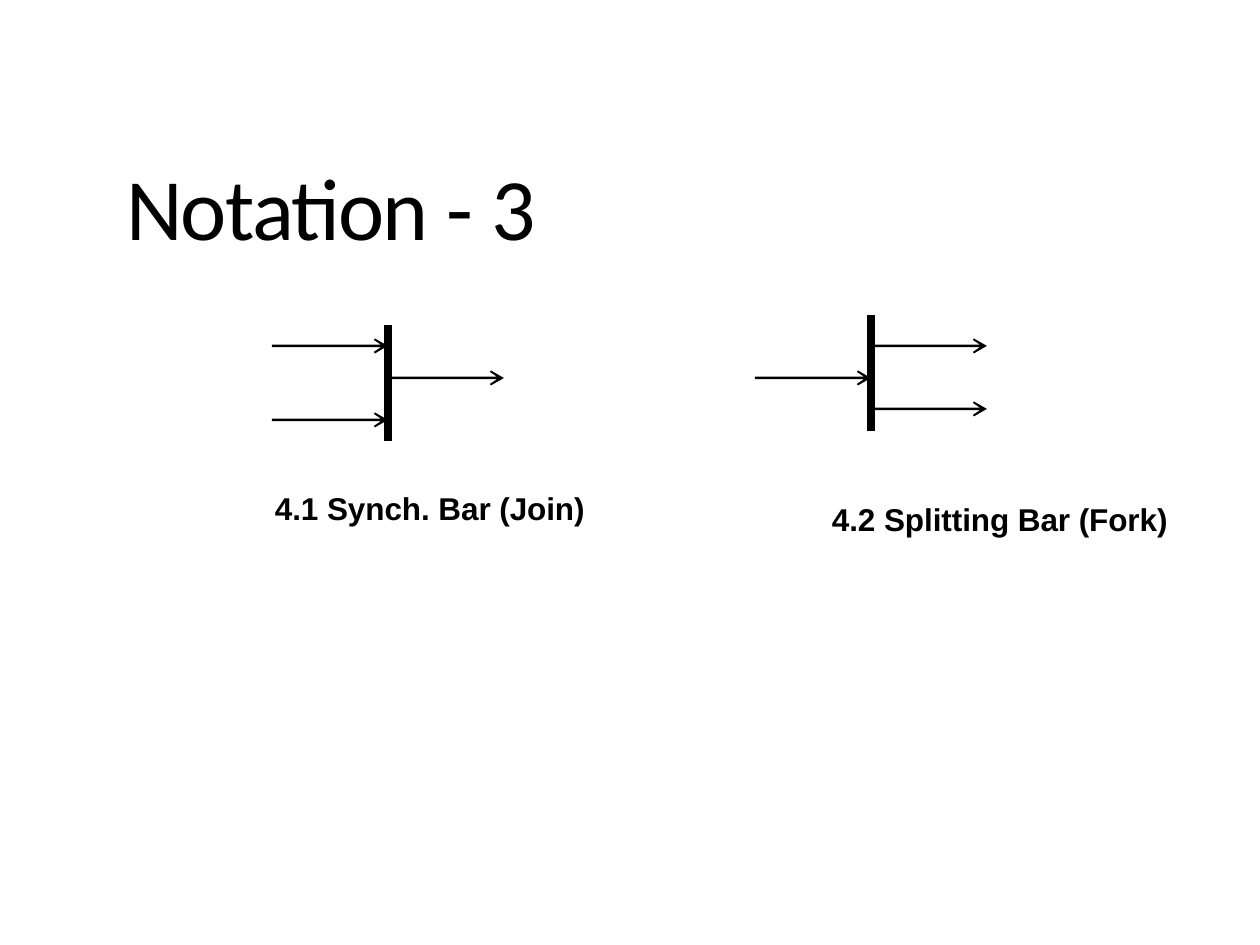
from pptx import Presentation
from pptx import util as u
from pptx.dml.color import RGBColor
from pptx.enum import shapes, text
from pptx.oxml.ns import qn
from lxml import etree

PX = 914400 / 126
BLACK = "000000"
REACH = 116

TITLE = ([("Notation ", -90), ("- ", -140), ("3", -250)], (125, 150, 427, 108))
BARS = [
    {"x": 388, "top": 325, "into": [346, 420], "out": [378],
     "caption": [("4.1 Synch. Bar (Join)", -5)], "box": (274, 486, 315, 42)},
    {"x": 871, "top": 315, "into": [378], "out": [346, 409],
     "caption": [("4.2 Splitting Bar (Fork)", -5)], "box": (831, 497, 342, 42)},
]
HALF_ARROW = [(-REACH, -1.25), (-7, -1.25), (-14, -6), (-13, -7.5)]
ARROW = HALF_ARROW + [(0, 0)] + [(dx, -dy) for dx, dy in reversed(HALF_ARROW)]


def px(n):
    return u.Emu(round(n * PX))


def color(value):
    return RGBColor.from_string(value)


def set_text(sp, parts, box, font, size, bold, anchor):
    sp.left, sp.top, sp.width, sp.height = map(px, box)
    tf = sp.text_frame
    tf.word_wrap = True
    tf.auto_size = text.MSO_AUTO_SIZE.NONE
    tf.vertical_anchor = anchor
    tf.margin_left, tf.margin_top = px(1), px(3)
    tf.margin_right = tf.margin_bottom = 0
    p = tf.paragraphs[0]
    p.alignment = text.PP_ALIGN.LEFT
    for words, spacing in parts:
        r = p.add_run()
        r.text = words
        r.font.name, r.font.size, r.font.bold = font, u.Pt(size), bold
        r.font.color.rgb = color(BLACK)
        r.font._element.set("spc", str(spacing))


def add_bar(s, x, top):
    sp = s.shapes.add_connector(shapes.MSO_CONNECTOR.STRAIGHT,
                                *map(px, (x, top, x, top + REACH)))
    sp.line.color.rgb = color(BLACK)
    sp.line.width = u.Pt(4.5)
    etree.SubElement(sp._element.spPr, qn("a:effectLst"))


def add_arrow(s, tip, y):
    points = [(px(tip + dx), px(y + dy)) for dx, dy in ARROW]
    builder = s.shapes.build_freeform(*points[0])
    builder.add_line_segments(points[1:], close=True)
    sp = builder.convert_to_shape()
    sp.shadow.inherit = False
    sp.fill.solid()
    sp.fill.fore_color.rgb = color(BLACK)
    sp.line.fill.background()


prs = Presentation()
prs.slide_width, prs.slide_height = u.Inches(10), u.Inches(7.5)
s = prs.slides.add_slide(prs.slide_layouts[5])
set_text(s.shapes.title, *TITLE, "Calibri", 50, False,
         text.MSO_ANCHOR.MIDDLE)

for bar in BARS:
    x = bar["x"]
    sp = s.shapes.add_textbox(0, 0, 0, 0)
    set_text(sp, bar["caption"], bar["box"], "Arial", 18, True,
             text.MSO_ANCHOR.TOP)
    add_bar(s, x, bar["top"])
    for tip, heights in ((x, bar["into"]), (x + REACH, bar["out"])):
        for y in heights:
            add_arrow(s, tip, y)

prs.save("out.pptx")
